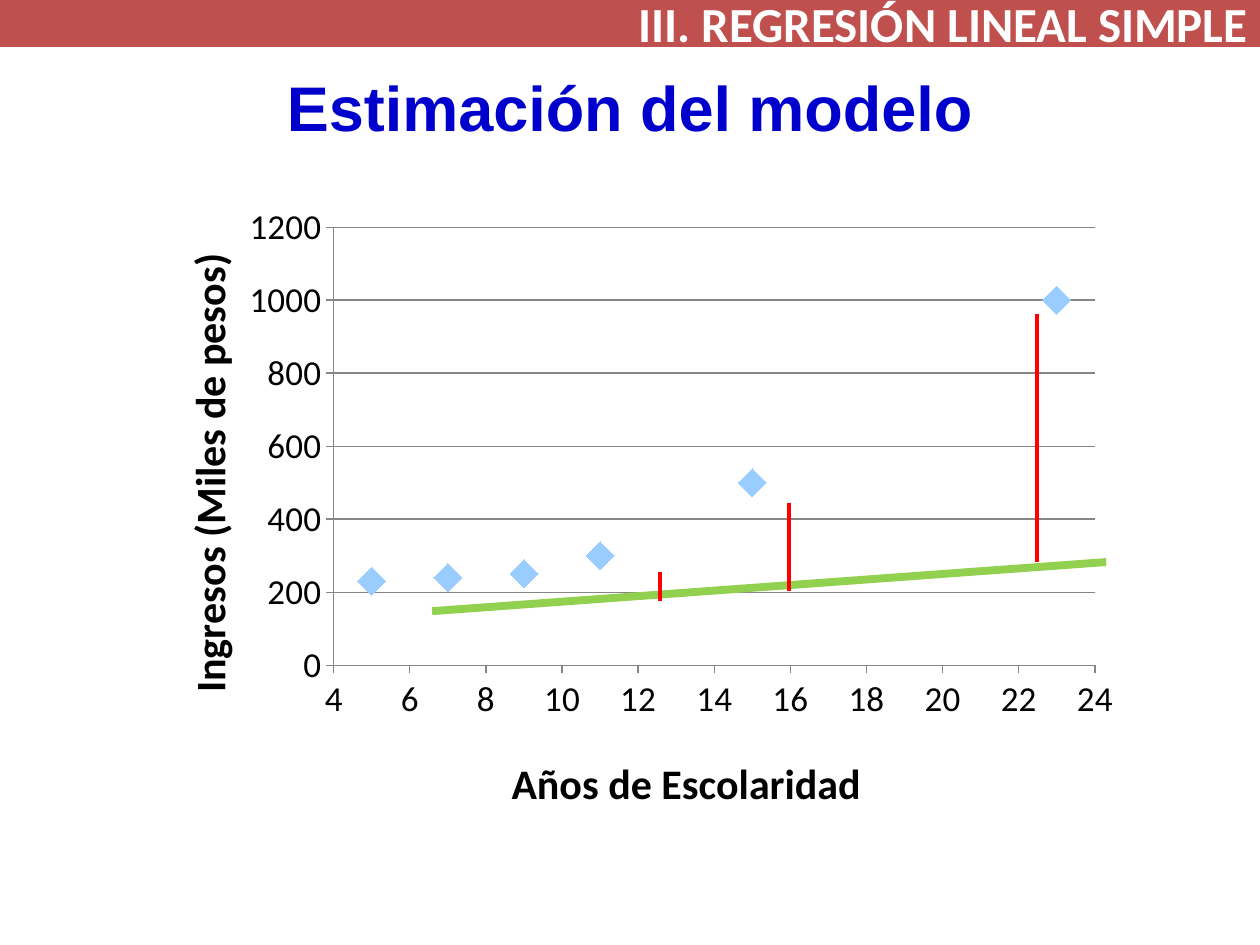
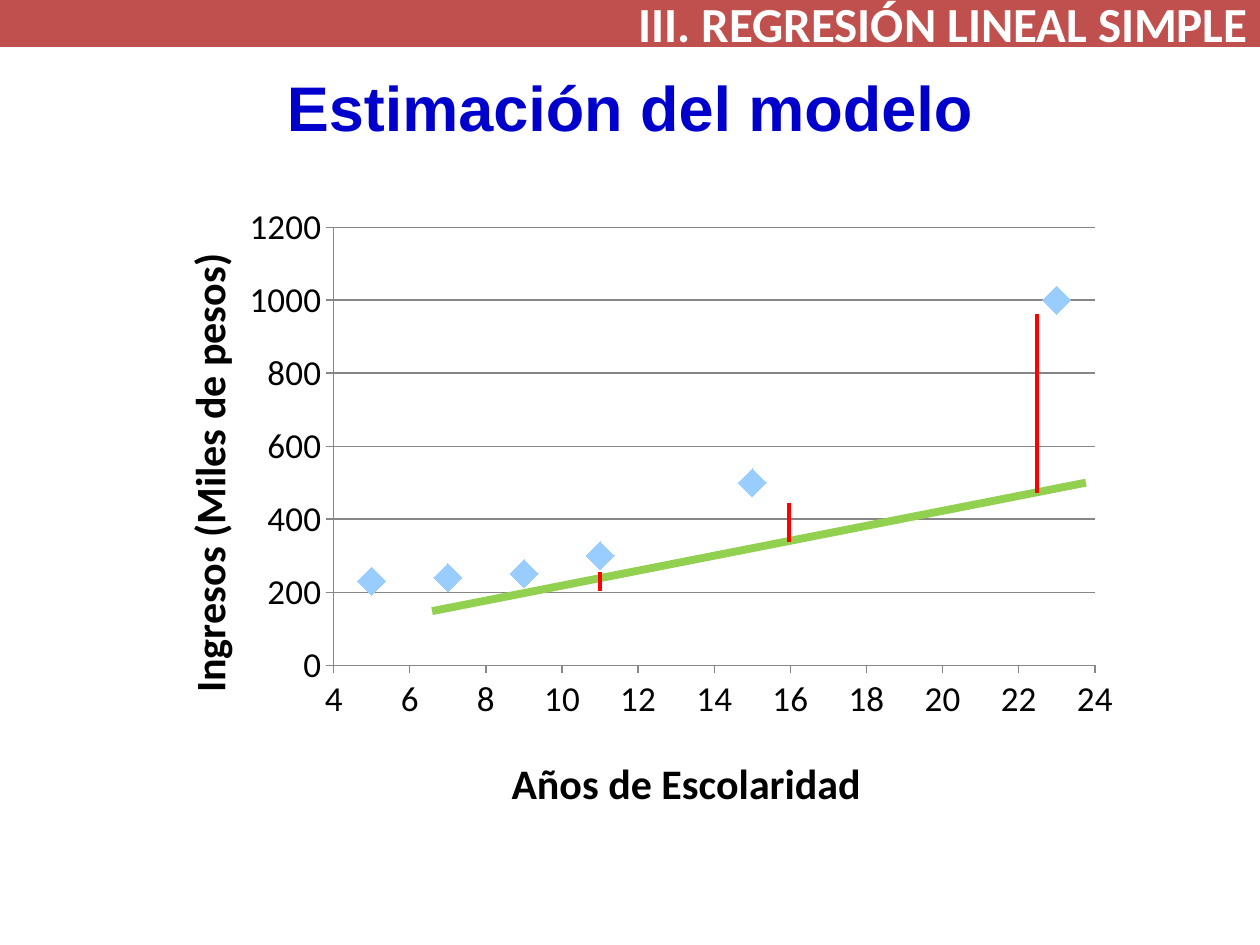
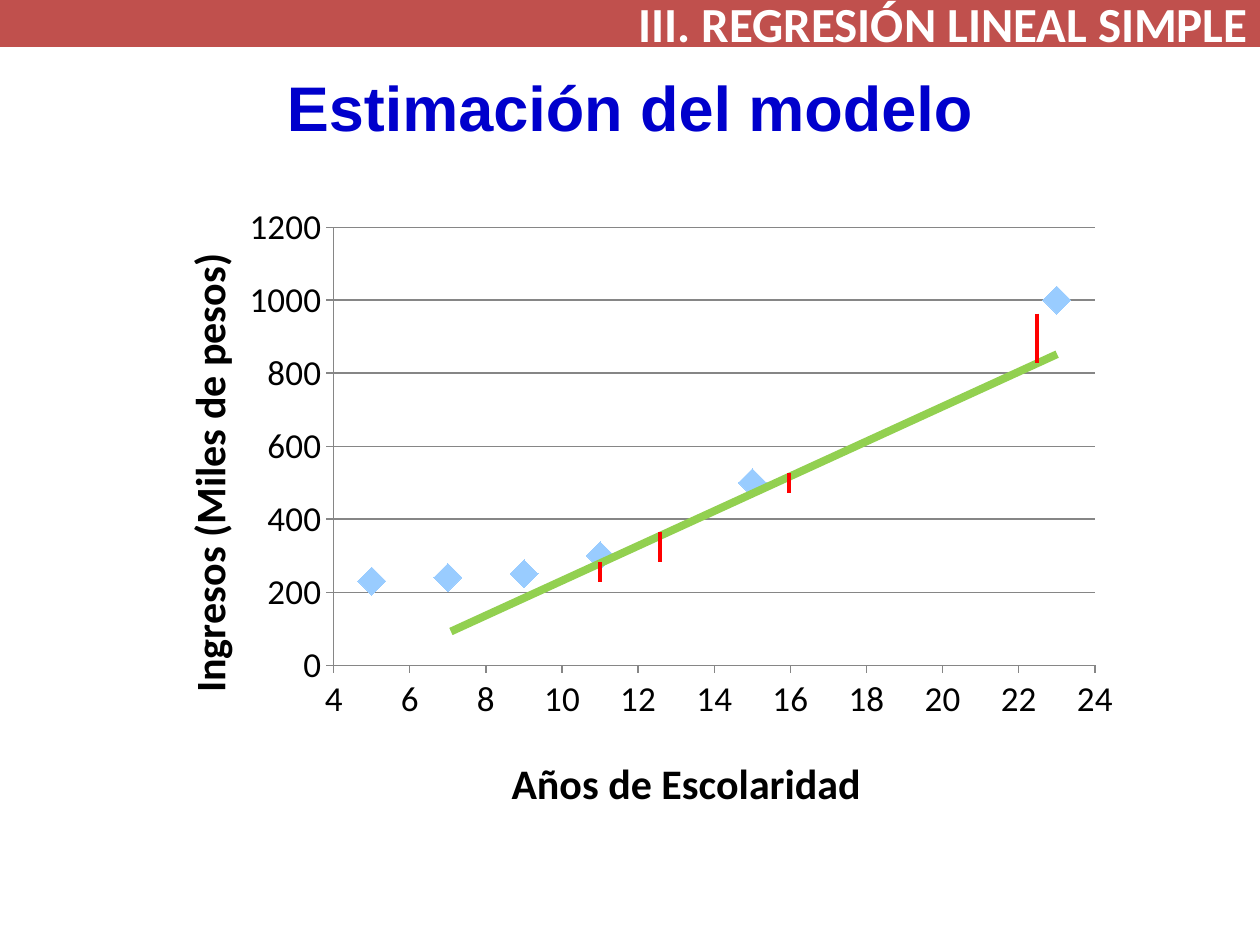
from dataclasses import dataclass

from lxml import etree
from pptx import Presentation
from pptx.chart.data import XyChartData
from pptx.dml.color import RGBColor
from pptx.enum.chart import XL_CHART_TYPE, XL_MARKER_STYLE, XL_TICK_MARK
from pptx.enum.shapes import MSO_CONNECTOR, MSO_SHAPE
from pptx.enum.text import MSO_ANCHOR, PP_ALIGN
from pptx.oxml.ns import qn
from pptx.util import Cm, Pt

SCATTER = XL_CHART_TYPE.XY_SCATTER
DIAMOND = XL_MARKER_STYLE.DIAMOND
TICK_OUTSIDE, TICK_NONE = XL_TICK_MARK.OUTSIDE, XL_TICK_MARK.NONE
STRAIGHT = MSO_CONNECTOR.STRAIGHT
RECTANGLE = MSO_SHAPE.RECTANGLE
MIDDLE = MSO_ANCHOR.MIDDLE
CENTER, RIGHT = PP_ALIGN.CENTER, PP_ALIGN.RIGHT

SECTION = "III. REGRESIÓN LINEAL SIMPLE"
TITLE = "Estimación del modelo"
SCHOOLING_TITLE = "Años de Escolaridad"
INCOME_TITLE = "Ingresos (Miles de pesos)"
OBSERVATIONS = [(5, 230), (7, 240), (9, 250), (11, 300), (15, 500), (23, 1000)]

# Positions in cm. A fit is (x1, y1, x2, y2); a residual is (x, top, bottom).
ESTIMATES = [
    {
        "fit": (8.71, 12.32, 22.3, 11.33),
        "residuals": [(20.9, 6.32, 11.33), (15.9, 10.13, 11.91), (13.31, 11.53, 12.12)],
    },
    {
        "fit": (8.71, 12.32, 21.89, 9.73),
        "residuals": [(20.9, 6.32, 9.93), (15.9, 10.13, 10.92), (12.09, 11.53, 11.91)],
    },
    {
        "fit": (9.09, 12.73, 21.31, 7.14),
        "residuals": [(20.9, 6.32, 7.32), (15.9, 9.53, 9.93),
                      (13.31, 10.72, 11.33), (12.09, 11.33, 11.73)],
    },
]

SLIDE_SIZE = (25.4, 19.05)
BAND_BOX = (0, 0, 25.4, 0.91)
TITLE_BOX = (1.27, 0.56, 22.86, 3.17)
CHART_BOX = (2.69, 3.94, 20.19, 12.8)

# Fractions of the chart box
PLOT_LAYOUT = {"x": 0.2, "y": 0.05, "w": 0.76, "h": 0.69}
SCHOOLING_LAYOUT = {"x": 0.37, "y": 0.87}
INCOME_LAYOUT = {"x": 0.04, "y": 0.08}


@dataclass(frozen=True)
class Theme:
    heading_font: str = "Arial"
    body_font: str = "Calibri"
    heading: RGBColor = RGBColor(0x00, 0x00, 0xCC)
    band: RGBColor = RGBColor(0xC0, 0x50, 0x4D)
    band_text: RGBColor = RGBColor(0xFF, 0xFF, 0xFF)
    text: RGBColor = RGBColor(0x00, 0x00, 0x00)
    axis: RGBColor = RGBColor(0x86, 0x86, 0x86)
    marker: RGBColor = RGBColor(0x99, 0xCC, 0xFF)
    fit: RGBColor = RGBColor(0x92, 0xD0, 0x50)
    residual: RGBColor = RGBColor(0xFF, 0x00, 0x00)
    heading_size: Pt = Pt(36)
    band_size: Pt = Pt(28)
    axis_title_size: Pt = Pt(24)
    tick_size: Pt = Pt(20)
    marker_size: int = 16
    fit_width: Pt = Pt(4.5)
    residual_width: Pt = Pt(2.25)
    band_line: Pt = Pt(2)
    axis_line: Pt = Pt(0.75)


THEME = Theme()


def in_cm(lengths):
    return [Cm(length) for length in lengths]


def style_font(font, name, size, color, bold):
    font.name, font.size, font.bold = name, size, bold
    font.color.rgb = color


def style_line(line, color, width):
    line.color.rgb = color
    line.width = width


def write_line(shape, text, align, *font_style):
    frame = shape.text_frame
    frame.word_wrap = True
    frame.vertical_anchor = MIDDLE
    para = frame.paragraphs[0]
    para.text = text
    para.alignment = align
    style_font(para.font, *font_style)


def add_band(page):
    band = page.shapes.add_shape(RECTANGLE, *in_cm(BAND_BOX))
    band.shadow.inherit = False
    band.fill.solid()
    band.fill.fore_color.rgb = THEME.band
    style_line(band.line, THEME.band, THEME.band_line)
    write_line(band, SECTION, RIGHT,
               THEME.body_font, THEME.band_size, THEME.band_text, True)


def add_title(page):
    box = page.shapes.add_textbox(*in_cm(TITLE_BOX))
    write_line(box, TITLE, CENTER,
               THEME.heading_font, THEME.heading_size, THEME.heading, True)


def add_line(page, ends, color, width):
    line = page.shapes.add_connector(STRAIGHT, *in_cm(ends))
    style_line(line.line, color, width)
    etree.SubElement(line._element.spPr, qn("a:effectLst"))


def set_layout(element, position, fractions):
    """Place a chart part by hand, its layout being child number `position`."""
    for old in element.findall(qn("c:layout")):
        element.remove(old)
    layout = etree.Element(qn("c:layout"))
    element.insert(position, layout)
    manual = etree.SubElement(layout, qn("c:manualLayout"))
    settings = {"xMode": "edge", "yMode": "edge", **fractions}
    if "w" in fractions:
        settings = {"layoutTarget": "inner", **settings}
    for name, value in settings.items():
        etree.SubElement(manual, qn(f"c:{name}")).set("val", str(value))


def style_axis(axis, title, layout, low, high, step):
    axis.minimum_scale, axis.maximum_scale, axis.major_unit = low, high, step
    axis.major_tick_mark, axis.minor_tick_mark = TICK_OUTSIDE, TICK_NONE
    axis.tick_labels.number_format = "General"
    axis.tick_labels.number_format_is_linked = False
    style_font(axis.tick_labels.font, THEME.body_font, THEME.tick_size, THEME.text, False)
    style_line(axis.format.line, THEME.axis, THEME.axis_line)
    frame = axis.axis_title.text_frame
    frame.text = title
    style_font(frame.paragraphs[0].font,
               THEME.body_font, THEME.axis_title_size, THEME.text, True)
    set_layout(axis.axis_title._element, 1, layout)


def add_income_chart(page):
    data = XyChartData()
    observed = data.add_series("Series 1")
    for schooling, income in OBSERVATIONS:
        observed.add_data_point(schooling, income)
    chart = page.shapes.add_chart(SCATTER, *in_cm(CHART_BOX), data).chart
    chart.has_title = chart.has_legend = False
    style_font(chart.font, THEME.body_font, THEME.tick_size, THEME.text, False)

    schooling_axis, income_axis = chart.category_axis, chart.value_axis
    style_axis(schooling_axis, SCHOOLING_TITLE, SCHOOLING_LAYOUT, 4, 24, 2)
    style_axis(income_axis, INCOME_TITLE, INCOME_LAYOUT, 0, 1200, 200)
    schooling_axis.has_major_gridlines = False
    income_axis.has_major_gridlines = True
    style_line(income_axis.major_gridlines.format.line, THEME.axis, THEME.axis_line)
    body = income_axis.axis_title._element.find(f".//{qn('a:bodyPr')}")
    body.set("rot", "-5400000")
    body.set("vert", "horz")

    plot = chart.plots[0]
    plot.vary_by_categories = False
    series = plot.series[0]
    series.format.line.fill.background()
    series.marker.style = DIAMOND
    series.marker.size = THEME.marker_size
    series.marker.format.fill.solid()
    series.marker.format.fill.fore_color.rgb = THEME.marker
    series.marker.format.line.fill.background()
    set_layout(chart._chartSpace.chart.plotArea, 0, PLOT_LAYOUT)


def add_estimate(page, estimate):
    add_line(page, estimate["fit"], THEME.fit, THEME.fit_width)
    for x, top, bottom in estimate["residuals"]:
        add_line(page, (x, top, x, bottom), THEME.residual, THEME.residual_width)


def main():
    deck = Presentation()
    deck.slide_width, deck.slide_height = in_cm(SLIDE_SIZE)
    blank = deck.slide_layouts[6]
    for estimate in ESTIMATES:
        page = deck.slides.add_slide(blank)
        add_title(page)
        add_income_chart(page)
        add_estimate(page, estimate)
        add_band(page)
    deck.save("out.pptx")


if __name__ == "__main__":
    main()
